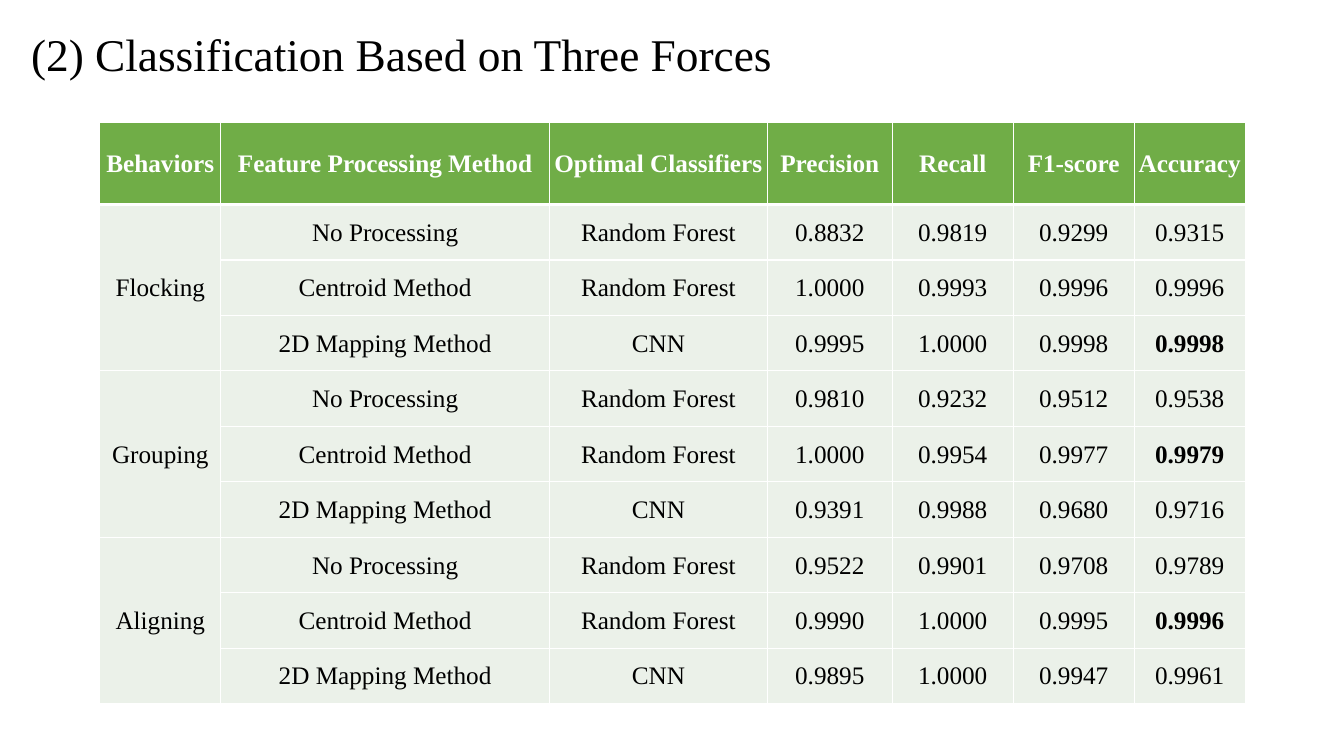
import lxml.etree
import pptx
import pptx.dml.color
import pptx.enum.text
import pptx.oxml.ns
import pptx.util

TITLE = "(2) Classification Based on Three Forces"
HEADS = ["Behaviors", "Feature Processing Method", "Optimal Classifiers",
         "Precision", "Recall", "F1-score", "Accuracy"]
METHODS = [("No Processing", "Random Forest"),
           ("Centroid Method", "Random Forest"),
           ("2D Mapping Method", "CNN")]
SCORES = {
    "Flocking": [("0.8832", "0.9819", "0.9299", "0.9315"),
                 ("1.0000", "0.9993", "0.9996", "0.9996"),
                 ("0.9995", "1.0000", "0.9998", "0.9998")],
    "Grouping": [("0.9810", "0.9232", "0.9512", "0.9538"),
                 ("1.0000", "0.9954", "0.9977", "0.9979"),
                 ("0.9391", "0.9988", "0.9680", "0.9716")],
    "Aligning": [("0.9522", "0.9901", "0.9708", "0.9789"),
                 ("0.9990", "1.0000", "0.9995", "0.9996"),
                 ("0.9895", "1.0000", "0.9947", "0.9961")],
}
COLORS = {"head": "70AD47", "body": "EBF1E9", "white": "FFFFFF", "black": "000000"}
FONT = "Times New Roman"
WIDTHS = [1.2, 3.26, 2.16, 1.24, 1.2, 1.2, 1.1]
HEAD_H, ROW_H = 0.82, 0.55
LEFT, TOP = 0.99, 1.21

inch = pptx.util.Inches
middle = pptx.enum.text.MSO_ANCHOR.MIDDLE


def rgb(name):
    return pptx.dml.color.RGBColor.from_string(COLORS[name])


def style(para, size, color, bold=False):
    for run in para.runs:
        run.font.name = FONT
        run.font.size = pptx.util.Pt(size)
        run.font.bold = bold
        run.font.color.rgb = rgb(color)


def edge(cell, row):
    """Draw white borders, thicker between the header and the body."""
    props = cell._tc.get_or_add_tcPr()
    thick = {0: "lnB", 1: "lnT"}.get(row)
    for side in ("lnL", "lnR", "lnT", "lnB"):
        line = lxml.etree.SubElement(props, pptx.oxml.ns.qn("a:" + side))
        line.set("w", str(pptx.util.Pt(3 if side == thick else 1)))
        fill = lxml.etree.SubElement(line, pptx.oxml.ns.qn("a:solidFill"))
        tint = lxml.etree.SubElement(fill, pptx.oxml.ns.qn("a:srgbClr"))
        tint.set("val", COLORS["white"])


def fill_cell(cell, row, text, bold):
    edge(cell, row)
    cell.fill.solid()
    cell.fill.fore_color.rgb = rgb("body" if row else "head")
    cell.margin_left = cell.margin_right = cell.margin_top = inch(0.01)
    cell.margin_bottom = 0
    cell.vertical_anchor = middle
    cell.text_frame.text = text
    para = cell.text_frame.paragraphs[0]
    para.alignment = pptx.enum.text.PP_ALIGN.CENTER
    style(para, 18, "black" if row else "white", bold)


def add_title(slide):
    box = slide.shapes.add_textbox(inch(0.21), inch(0.33), inch(12.9), inch(0.46))
    frame = box.text_frame
    frame.word_wrap = True
    frame.margin_top = frame.margin_bottom = 0
    frame.vertical_anchor = middle
    frame.text = TITLE
    frame.paragraphs[0].line_spacing = 0.9
    style(frame.paragraphs[0], 32.4, "black")


def add_scores(slide):
    rows = [HEADS]
    best = set()
    for name, group in SCORES.items():
        top = max(nums[-1] for nums in group)
        for i, (method, nums) in enumerate(zip(METHODS, group)):
            if nums[-1] == top:
                best.add(len(rows))
            rows.append(["" if i else name, *method, *nums])

    high = HEAD_H + ROW_H * (len(rows) - 1)
    table = slide.shapes.add_table(len(rows), len(HEADS), inch(LEFT), inch(TOP),
                                   inch(sum(WIDTHS)), inch(high)).table
    table.horz_banding = False
    for col, width in zip(table.columns, WIDTHS):
        col.width = inch(width)
    for r, row in enumerate(rows):
        table.rows[r].height = inch(ROW_H if r else HEAD_H)
        for c, text in enumerate(row):
            bold = r == 0 or (r in best and c == len(row) - 1)
            fill_cell(table.cell(r, c), r, text, bold)
    step = len(METHODS)
    for r in range(1, len(rows), step):
        table.cell(r, 0).merge(table.cell(r + step - 1, 0))


def main():
    deck = pptx.Presentation()
    deck.slide_width, deck.slide_height = inch(13.33), inch(7.5)
    slide = deck.slides.add_slide(deck.slide_layouts[6])
    add_scores(slide)
    add_title(slide)
    deck.save("out.pptx")


if __name__ == "__main__":
    main()
